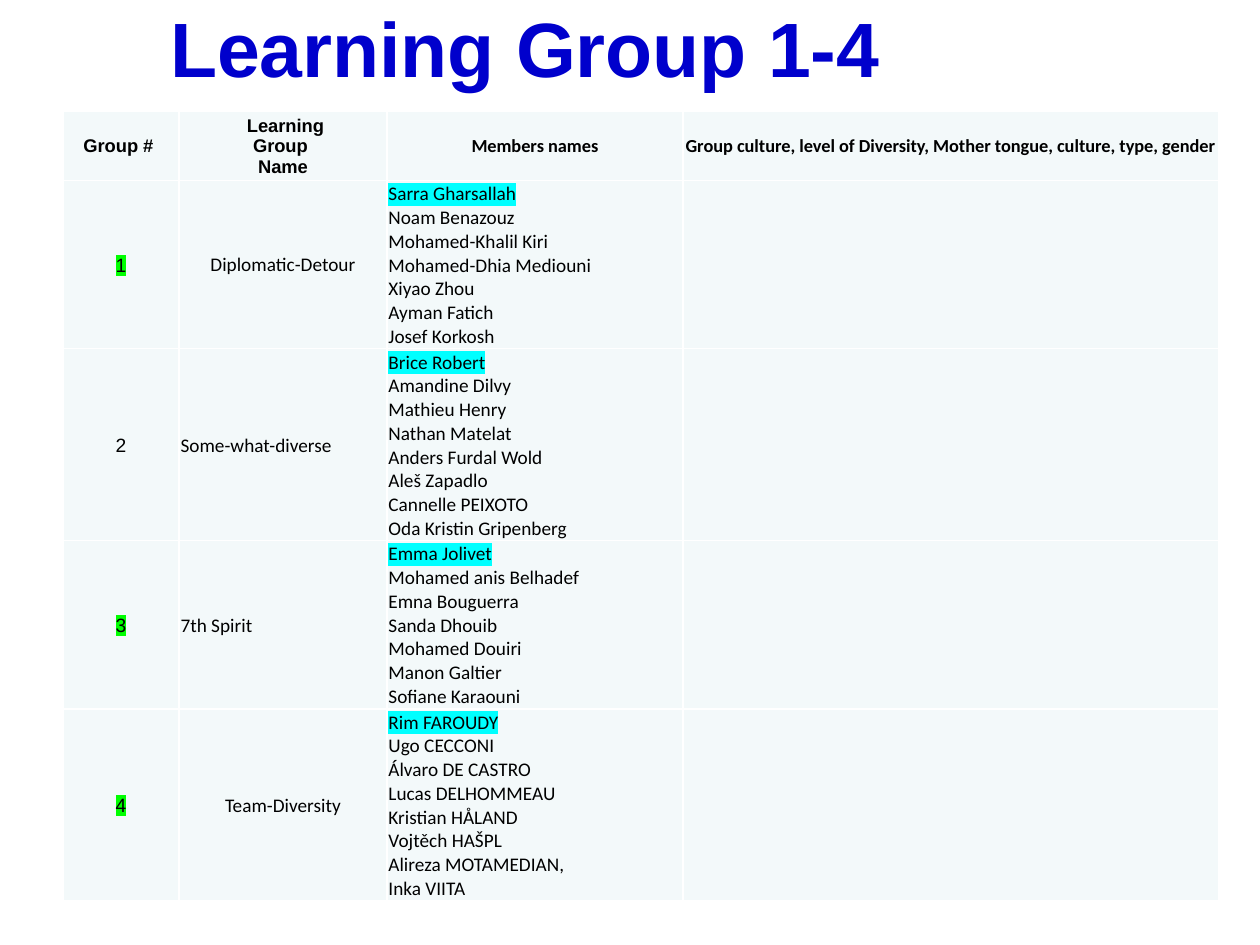
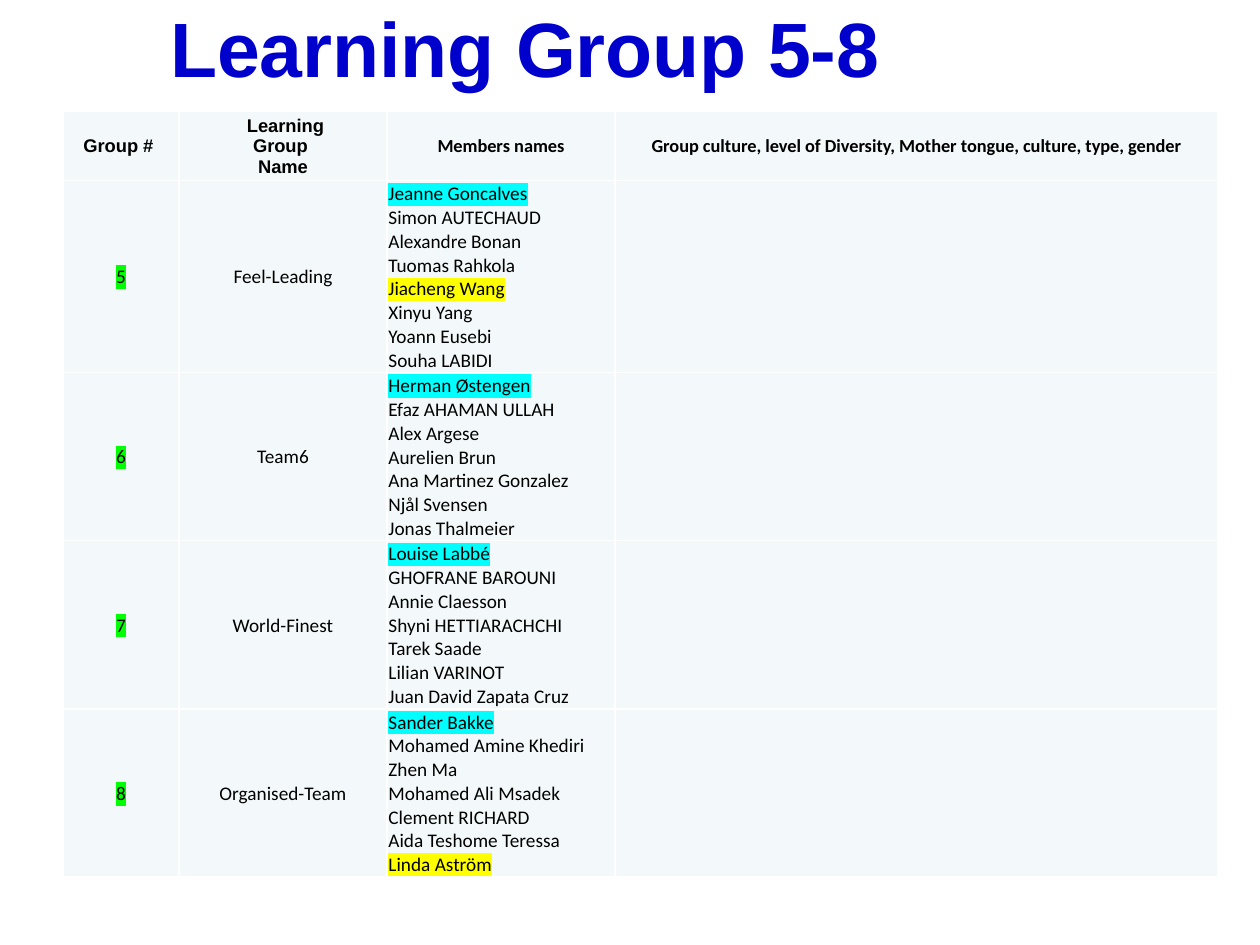
from lxml import etree
from pptx import Presentation
from pptx.dml.color import RGBColor
from pptx.enum.text import MSO_ANCHOR, PP_ALIGN
from pptx.oxml.ns import qn
from pptx.util import Cm, Pt

LEFT, CENTER = PP_ALIGN.LEFT, PP_ALIGN.CENTER
TOP, MIDDLE, BOTTOM = MSO_ANCHOR.TOP, MSO_ANCHOR.MIDDLE, MSO_ANCHOR.BOTTOM
BLANK_LAYOUT = 6
HEADING_FONT, BODY_FONT = "Arial", "Calibri"
COLORS = {
    "title": "0000CC",
    "text": "000000",
    "cell": "F3F9FA",
    "border": "FFFFFF",
    "number": "00FF00",
    "leader": "00FFFF",
    "marked": "FFFF00",
}
TABLE_LEFT, TABLE_TOP, TABLE_WIDTH = 1.27, 2.24, 23.29
NUMBER_WIDTH, NAME_WIDTH = 2.34, 4.19
HEADER_HEIGHT, MEMBER_HEIGHT, CELL_INSET = 1.4, 0.48, 0.03
HEADERS = [
    (["Group # "], HEADING_FONT),
    ([" Learning", "Group ", "Name"], HEADING_FONT),
    (["Members names"], BODY_FONT),
    (["Group culture, level of Diversity, Mother tongue, culture, type, gender"], BODY_FONT),
]
MARKED_MEMBERS = {"Jiacheng Wang", "Linda Aström"}
PLAIN_NUMBERS = {"2"}
LEFT_ALIGNED_NAMES = {"Some-what-diverse", "7th Spirit"}

# Each group: number, name, members with the leader first
GROUPS_1_TO_4 = [
    ("1", "Diplomatic-Detour", [
        "Sarra Gharsallah", "Noam Benazouz", "Mohamed-Khalil Kiri",
        "Mohamed-Dhia Mediouni", "Xiyao Zhou", "Ayman Fatich", "Josef Korkosh"]),
    ("2", "Some-what-diverse", [
        "Brice Robert", "Amandine Dilvy", "Mathieu Henry", "Nathan Matelat",
        "Anders Furdal Wold", "Aleš Zapadlo", "Cannelle PEIXOTO",
        "Oda Kristin Gripenberg"]),
    ("3", "7th Spirit", [
        "Emma Jolivet", "Mohamed anis Belhadef", "Emna Bouguerra", "Sanda Dhouib",
        "Mohamed Douiri", "Manon Galtier", "Sofiane Karaouni"]),
    ("4", "Team-Diversity", [
        "Rim FAROUDY", "Ugo CECCONI", "Álvaro DE CASTRO", "Lucas DELHOMMEAU",
        "Kristian HÅLAND", "Vojtěch HAŠPL", "Alireza MOTAMEDIAN,", "Inka VIITA"]),
]
GROUPS_5_TO_8 = [
    ("5", "Feel-Leading", [
        "Jeanne Goncalves", "Simon AUTECHAUD", "Alexandre Bonan", "Tuomas Rahkola",
        "Jiacheng Wang", "Xinyu Yang", "Yoann Eusebi", "Souha LABIDI"]),
    ("6", "Team6", [
        "Herman Østengen", "Efaz AHAMAN ULLAH", "Alex Argese", "Aurelien Brun",
        "Ana Martinez Gonzalez", "Njål Svensen", "Jonas Thalmeier"]),
    ("7", "World-Finest", [
        "Louise Labbé", "GHOFRANE BAROUNI", "Annie Claesson", "Shyni HETTIARACHCHI",
        "Tarek Saade", "Lilian VARINOT", "Juan David Zapata Cruz"]),
    ("8", "Organised-Team", [
        "Sander Bakke", "Mohamed Amine Khediri", "Zhen Ma", "Mohamed Ali Msadek",
        "Clement RICHARD", "Aida Teshome Teressa", "Linda Aström"]),
]


def write_text(paragraph, text, font=BODY_FONT, size=11, bold=False,
               color="text", align=LEFT, highlight=None):
    paragraph.alignment = align
    run = paragraph.add_run()
    run.text = text
    run.font.name = font
    run.font.size = Pt(size)
    run.font.bold = bold
    run.font.color.rgb = RGBColor.from_string(COLORS[color])
    if highlight:
        mark = etree.Element(qn("a:highlight"))
        etree.SubElement(mark, qn("a:srgbClr"), val=COLORS[highlight])
        run._r.rPr.find(qn("a:solidFill")).addnext(mark)


def write_cell(cell, lines, highlights=None, anchor=MIDDLE, **text_format):
    """Write one paragraph per line; highlights maps a line to a colour name."""
    cell.vertical_anchor = anchor
    frame = cell.text_frame
    for index, line in enumerate(lines):
        paragraph = frame.add_paragraph() if index else frame.paragraphs[0]
        write_text(paragraph, line, highlight=(highlights or {}).get(line), **text_format)


def style_cell(cell):
    cell.margin_left = cell.margin_right = cell.margin_top = Cm(CELL_INSET)
    cell.margin_bottom = 0
    cell.fill.solid()
    cell.fill.fore_color.rgb = RGBColor.from_string(COLORS["cell"])
    properties = cell._tc.get_or_add_tcPr()
    for index, side in enumerate(("a:lnL", "a:lnR", "a:lnT", "a:lnB")):
        line = etree.Element(qn(side), w=str(Pt(1)))
        fill = etree.SubElement(line, qn("a:solidFill"))
        etree.SubElement(fill, qn("a:srgbClr"), val=COLORS["border"])
        properties.insert(index, line)


def add_title(slide, text):
    box = slide.shapes.add_textbox(Cm(3.18), Cm(-0.13), Cm(19.89), Cm(0.97))
    frame = box.text_frame
    frame.word_wrap = True
    frame.vertical_anchor = TOP
    frame.margin_top = Cm(0.15)
    write_text(frame.paragraphs[0], text, font=HEADING_FONT, size=44,
               bold=True, color="title")


def add_group_table(slide, groups, members_width, number_font):
    culture_width = TABLE_WIDTH - NUMBER_WIDTH - NAME_WIDTH - members_width
    widths = [NUMBER_WIDTH, NAME_WIDTH, members_width, culture_width]
    heights = [HEADER_HEIGHT] + [
        len(members) * MEMBER_HEIGHT + CELL_INSET for _, _, members in groups]
    table = slide.shapes.add_table(
        len(heights), len(widths), Cm(TABLE_LEFT), Cm(TABLE_TOP),
        Cm(TABLE_WIDTH), Cm(sum(heights))).table
    table.first_row = table.horz_banding = False
    for column, width in zip(table.columns, widths):
        column.width = Cm(width)
    for row, height in zip(table.rows, heights):
        row.height = Cm(height)
    for cell in table.iter_cells():
        style_cell(cell)

    for column, (lines, font) in enumerate(HEADERS):
        write_cell(table.cell(0, column), lines, font=font, size=10.5,
                   bold=True, align=CENTER)
    for row, (number, name, members) in enumerate(groups, start=1):
        number_marks = {} if number in PLAIN_NUMBERS else {number: "number"}
        member_marks = dict.fromkeys(MARKED_MEMBERS, "marked") | {members[0]: "leader"}
        name_align = LEFT if name in LEFT_ALIGNED_NAMES else CENTER
        write_cell(table.cell(row, 0), [number], number_marks,
                   font=number_font, align=CENTER)
        write_cell(table.cell(row, 1), [name], align=name_align)
        write_cell(table.cell(row, 2), members, member_marks, anchor=BOTTOM)


def main():
    presentation = Presentation()
    presentation.slide_width, presentation.slide_height = Cm(25.4), Cm(19.05)
    for title, groups, members_width, number_font in (
        ("Learning Group 1-4", GROUPS_1_TO_4, 5.97, HEADING_FONT),
        ("Learning Group 5-8", GROUPS_5_TO_8, 4.6, BODY_FONT),
    ):
        slide = presentation.slides.add_slide(presentation.slide_layouts[BLANK_LAYOUT])
        add_title(slide, title)
        add_group_table(slide, groups, members_width, number_font)
    presentation.save("out.pptx")


if __name__ == "__main__":
    main()
